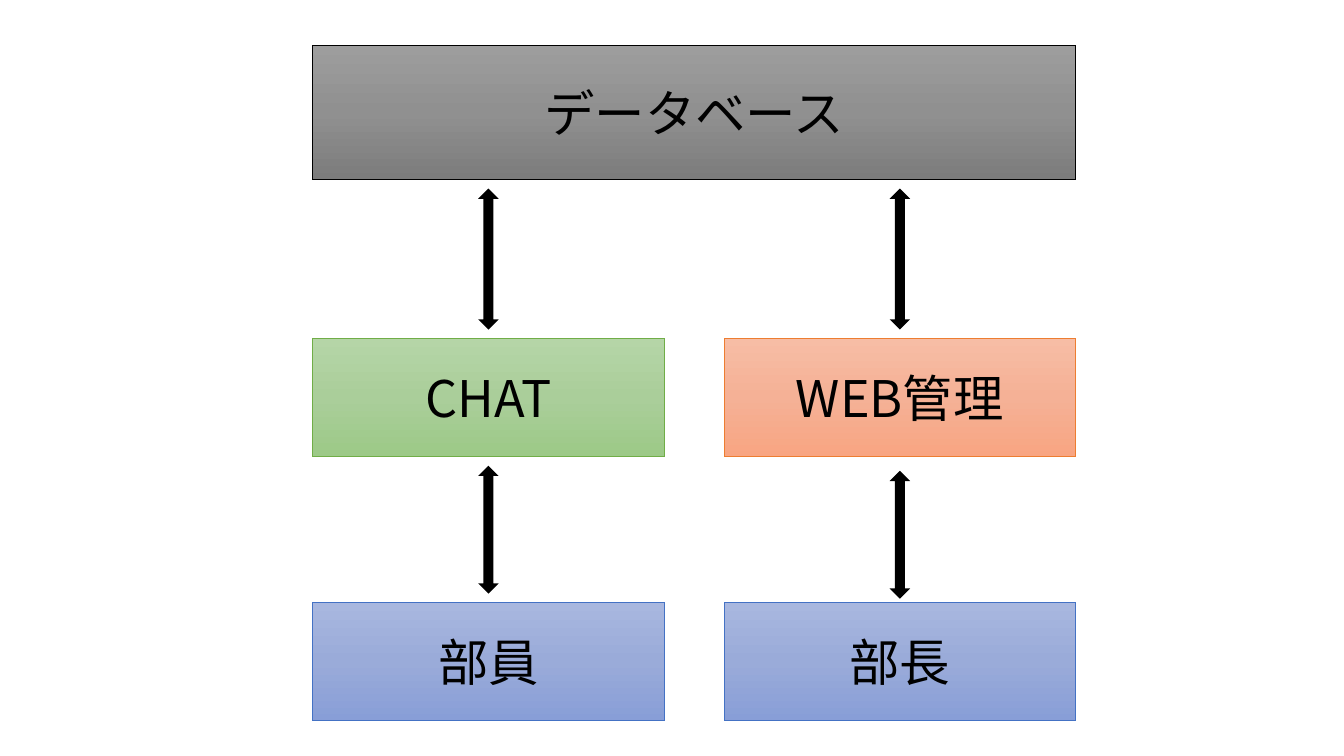
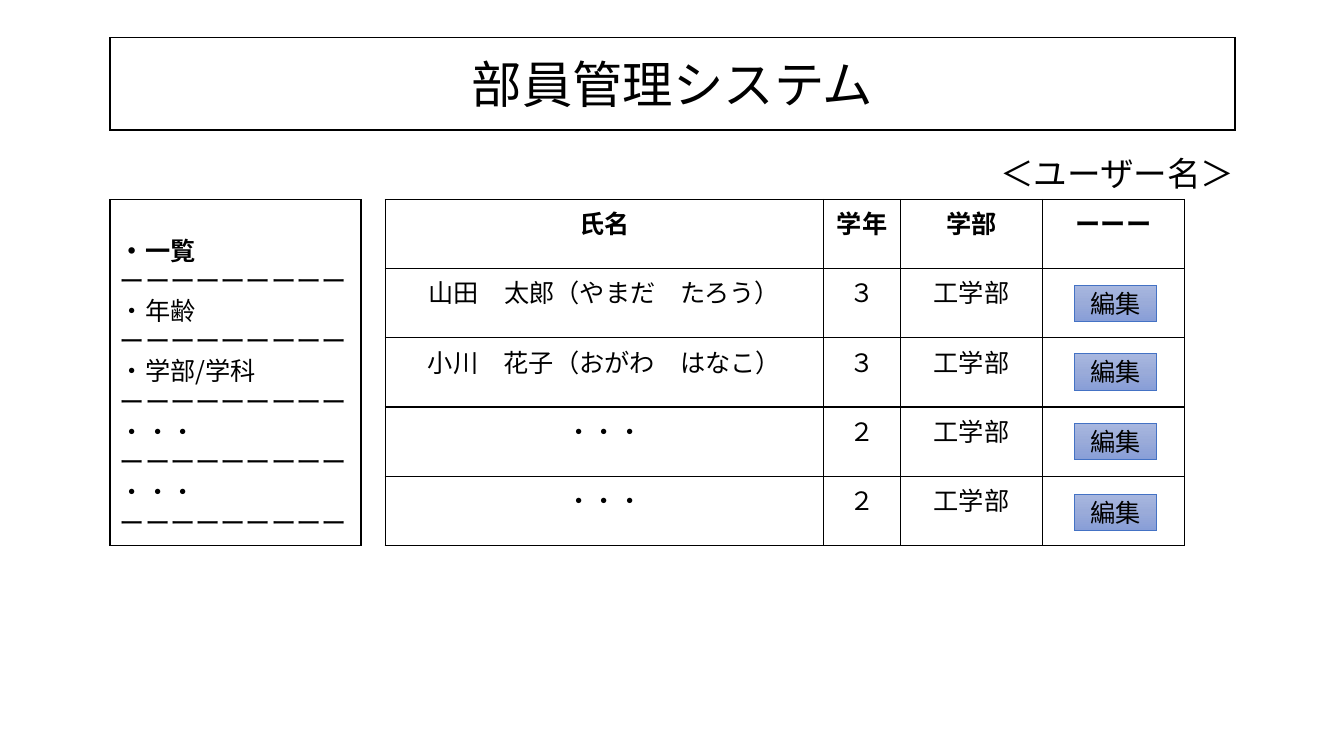
from pptx import Presentation
from pptx.dml.color import RGBColor
from pptx.enum.shapes import MSO_SHAPE
from pptx.enum.text import MSO_ANCHOR, MSO_AUTO_SIZE, PP_ALIGN
from pptx.oxml import parse_xml
from pptx.oxml.ns import nsdecls, qn
from pptx.util import Inches, Pt

RECT, ARROW = MSO_SHAPE.RECTANGLE, MSO_SHAPE.UP_DOWN_ARROW
CENTER, LEFT = PP_ALIGN.CENTER, PP_ALIGN.LEFT
TOP, MIDDLE = MSO_ANCHOR.TOP, MSO_ANCHOR.MIDDLE
FIXED = MSO_AUTO_SIZE.NONE

FONT = "Noto Sans CJK JP"
BLACK, WHITE = "000000", "FFFFFF"
# Each tone: three gradient stops, then the outline
GRAY = ("9D9D9D", "909090", "7C7C7C", BLACK)
BLUE = ("A8B7DF", "9AABD9", "889ED7", "4472C4")
GREEN = ("B5D5A7", "AACE9A", "9CC987", "70AD47")
ORANGE = ("F7BDA5", "F5B196", "F8A582", "ED7D31")

# Slide 1: label, tone, column, columns spanned, row
NODES = [
    ("データベース", GRAY, 0, 2, 0),
    ("CHAT", GREEN, 0, 1, 1),
    ("WEB管理", ORANGE, 1, 1, 1),
    ("部員", BLUE, 0, 1, 2),
    ("部長", BLUE, 1, 1, 2),
]
# Column, row above, downward shift
LINKS = [(0, 0, 0), (1, 0, 0), (0, 1, 0), (1, 1, 0.05)]
TIERS = [(0.45, 1.33), (3.36, 1.17), (5.98, 1.17)]
EDGE, BOX, GAP = 3.1, 3.49, 0.59
SHAFT, AIR = 0.17, 0.1

# Slide 2, with full-width signs as escapes
TITLE, USER = "部員管理システム", "\uff1cユーザー名\uff1e"
MENU = ["・一覧", "・年齢", "・学部/学科", "・・・", "・・・"]
RULE = "ー" * 9
ROWS = [
    ("氏名", "学年", "学部", "ーーー"),
    ("山田\u3000太郎\uff08やまだ\u3000たろう\uff09", "\uff13", "工学部", ""),
    ("小川\u3000花子\uff08おがわ\u3000はなこ\uff09", "\uff13", "工学部", ""),
    ("・・・", "\uff12", "工学部", ""),
    ("・・・", "\uff12", "工学部", ""),
]
EDIT = "編集"
KEYS = [2.83, 3.51, 4.2, 4.9]
COLS = [4.35, 0.76, 1.41, 1.41]
MARGIN, WIDE, BODY, TALL = 1.09, 11.16, 1.98, 3.43
GRID, STEP = 3.82, TALL / len(ROWS)
LINE = 21.6


def color(code):
    """Turn a hex string into a colour."""
    return RGBColor.from_string(code)


def inches(*sizes):
    """Turn numbers into lengths."""
    return [Inches(size) for size in sizes]


def write(par, text, size, bold=False, align=CENTER):
    """Add one styled run to a paragraph."""
    par.alignment = align
    run = par.add_run()
    run.text = text
    font = run.font
    font.name, font.size, font.bold = FONT, Pt(size), bold
    font.color.rgb = color(BLACK)
    face = parse_xml(f'<a:ea {nsdecls("a")} typeface="{FONT}"/>')
    font._element.find(qn("a:latin")).addnext(face)


def paint(shape, fill, line, width):
    """Set a plain fill and a sharp-cornered outline."""
    shape.fill.solid()
    shape.fill.fore_color.rgb = color(fill)
    shape.line.color.rgb = color(line)
    shape.line.width = Pt(width)
    shape._element.spPr.find(qn("a:ln")).append(
        parse_xml(f'<a:miter {nsdecls("a")} lim="800000"/>'))


def shade(shape, tones):
    """Swap the fill for a downward three-stop gradient."""
    stops = "".join(
        f'<a:gs pos="{i * 50000}"><a:srgbClr val="{tone}"/></a:gs>'
        for i, tone in enumerate(tones))
    grad = parse_xml(
        f'<a:gradFill {nsdecls("a")} rotWithShape="1"><a:gsLst>{stops}'
        '</a:gsLst><a:lin ang="5400000" scaled="0"/></a:gradFill>')
    props = shape._element.spPr
    props.replace(props.find(qn("a:solidFill")), grad)


def draw(slide, kind, at, fill, line, width):
    """Add a flat preset shape."""
    shape = slide.shapes.add_shape(kind, *inches(*at))
    shape.shadow.inherit = False
    paint(shape, fill, line, width)
    return shape


def block(slide, at, text, tone, size):
    """Add a shaded box with a centred label."""
    shape = draw(slide, RECT, at, tone[0], tone[3], 0.5)
    shade(shape, tone[:3])
    frame = shape.text_frame
    frame.word_wrap, frame.vertical_anchor = True, MIDDLE
    write(frame.paragraphs[0], text, size)


def border(cell):
    """Give a cell thin black edges and a white fill."""
    props = cell._tc.get_or_add_tcPr()
    for side in ("lnL", "lnR", "lnT", "lnB"):
        props.append(parse_xml(
            f'<a:{side} {nsdecls("a")} w="12700"><a:solidFill>'
            f'<a:srgbClr val="{BLACK}"/></a:solidFill></a:{side}>'))
    cell.fill.solid()
    cell.fill.fore_color.rgb = color(WHITE)


def chart(slide):
    """Build the system diagram."""
    for text, tone, col, span, row in NODES:
        top, high = TIERS[row]
        wide = span * BOX + (span - 1) * GAP
        block(slide, (EDGE + col * (BOX + GAP), top, wide, high),
              text, tone, 36)
    for col, row, shift in LINKS:
        top = sum(TIERS[row]) + AIR
        left = EDGE + col * (BOX + GAP) + (BOX - SHAFT) / 2
        high = TIERS[row + 1][0] - AIR - top
        draw(slide, ARROW, (left, top + shift, SHAFT, high), BLACK, BLACK, 1)


def head(slide):
    """Format the title and add the user name."""
    title = slide.shapes.title
    title.left, title.top, title.width, title.height = inches(
        MARGIN, 0.37, WIDE, 0.92)
    paint(title, WHITE, BLACK, 1)
    frame = title.text_frame
    frame.auto_size, frame.vertical_anchor = FIXED, MIDDLE
    write(frame.paragraphs[0], TITLE, 36)
    user = slide.shapes.add_textbox(*inches(9.82, 1.47, 3.17, 0.5))
    user.text_frame.word_wrap = True
    write(user.text_frame.paragraphs[0], USER, 24, align=LEFT)


def menu(slide):
    """Add the side menu, with a dashed rule under each item."""
    panel = draw(slide, RECT, (MARGIN, BODY, 2.49, TALL), WHITE, BLACK, 1)
    frame = panel.text_frame
    frame.word_wrap, frame.vertical_anchor = True, TOP
    frame.margin_top = Inches(0.35)
    lines = [text for item in MENU for text in (item, RULE)]
    for i, text in enumerate(lines):
        par = frame.add_paragraph() if i else frame.paragraphs[0]
        par.line_spacing = Pt(LINE)
        write(par, text, 18, bold=i == 0, align=LEFT)


def roster(slide):
    """Add the member table and its edit buttons."""
    table = slide.shapes.add_table(
        len(ROWS), len(COLS), *inches(GRID, BODY, sum(COLS), TALL)).table
    for col, wide in zip(table.columns, COLS):
        col.width = Inches(wide)
    for r, row in enumerate(ROWS):
        table.rows[r].height = Inches(STEP)
        for c, text in enumerate(row):
            cell = table.cell(r, c)
            border(cell)
            if text:
                write(cell.text_frame.paragraphs[0], text, 18, bold=r == 0)
    for top in KEYS:
        block(slide, (10.66, top, 0.81, 0.36), EDIT, BLUE, 18)


deck = Presentation()
deck.slide_width, deck.slide_height = inches(13.33, 7.5)
chart(deck.slides.add_slide(deck.slide_layouts[6]))
page = deck.slides.add_slide(deck.slide_layouts[5])
for part in (head, menu, roster):
    part(page)
deck.save("out.pptx")
